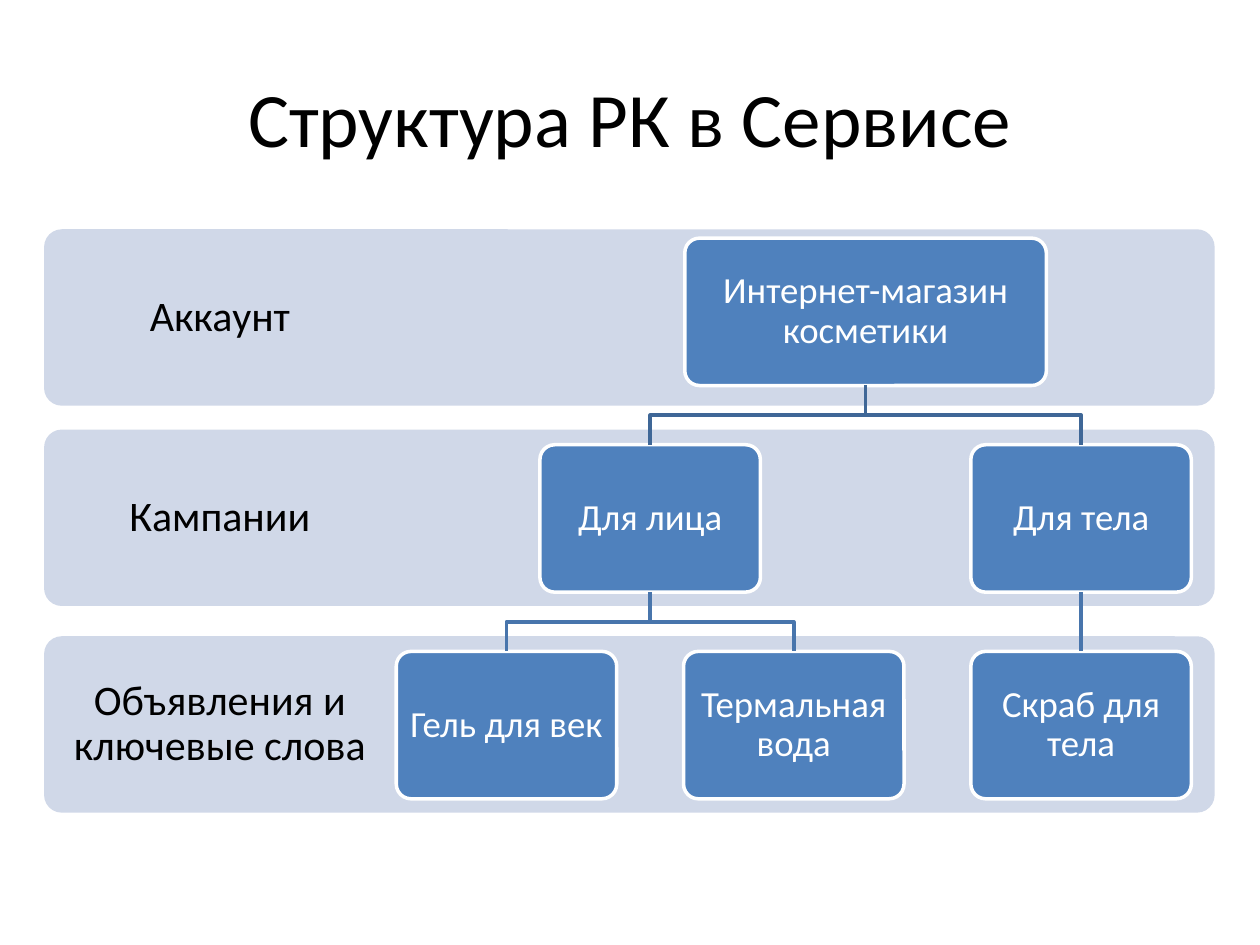
from lxml import etree
from pptx import Presentation
from pptx.dml.color import RGBColor
from pptx.enum import shapes, text
from pptx.oxml import ns
from pptx.util import Inches, Pt

TITLE = "Структура РК в Сервисе"
BANDS = [("Аккаунт", 1.82), ("Кампании", 3.41), ("Объявления и ключевые слова", 5.05)]
TREE = ("Интернет-магазин косметики", [
    ("Для лица", [("Гель для век", []), ("Термальная вода", [])]),
    ("Для тела", [("Скраб для тела", [])]),
])
COLORS = {"band": "D0D8E8", "node": "4F81BD", "white": "FFFFFF", "black": "000000"}
LINK_COLORS = ["3F6797", "4875AC"]
FONT = "Calibri"
BAND_LEFT, BAND_WIDTH, BAND_HEIGHT, LABEL_WIDTH = 0.35, 9.29, 1.4, 2.79
NODE_TOP, NODE_STEP, NODE_HEIGHT = 1.89, 1.64, 1.17
ROOT_WIDTH, NODE_WIDTH = 2.87, 1.75
LABEL_INSET, NODE_INSET = 0.19, 0.07
LEAF_CENTER, LEAF_STEP = 4.02, 2.28


def color(value):
    return RGBColor.from_string(value)


def write(box, words, size, ink, inset=None, spacing=None):
    frame = box.text_frame
    frame.text = words
    frame.word_wrap = True
    frame.vertical_anchor = text.MSO_ANCHOR.MIDDLE
    if inset is not None:
        frame.margin_left = frame.margin_right = Inches(inset)
        frame.margin_top = frame.margin_bottom = Inches(inset)
    para = frame.paragraphs[0]
    para.alignment = text.PP_ALIGN.CENTER
    if spacing:
        para.line_spacing = spacing
    font = para.runs[0].font
    font.name, font.size = FONT, Pt(size)
    font.color.rgb = color(COLORS[ink])


def add_panel(page, left, top, width, height, fill):
    panel = page.shapes.add_shape(shapes.MSO_SHAPE.ROUNDED_RECTANGLE,
                                  *map(Inches, (left, top, width, height)))
    panel.adjustments[0] = 0.1
    panel.shadow.inherit = False
    panel.fill.solid()
    panel.fill.fore_color.rgb = color(COLORS[fill])
    panel.line.fill.background()
    return panel


def add_band(page, words, top):
    add_panel(page, BAND_LEFT, top, BAND_WIDTH, BAND_HEIGHT, "band")
    label = page.shapes.add_textbox(
        *map(Inches, (BAND_LEFT, top, LABEL_WIDTH, BAND_HEIGHT)))
    write(label, words, 24, "black", LABEL_INSET, 0.9)


def add_link(page, parent, parent_x, child, child_x, level):
    start = NODE_TOP + level * NODE_STEP + NODE_HEIGHT
    end = NODE_TOP + (level + 1) * NODE_STEP
    middle = (start + end) / 2
    if abs(parent_x - child_x) < 0.01:
        link = page.shapes.add_connector(
            shapes.MSO_CONNECTOR.STRAIGHT,
            *map(Inches, (parent_x, start, child_x, end)))
        link.begin_connect(parent, 2)
        link.end_connect(child, 0)
        etree.SubElement(link._element.spPr, ns.qn("a:effectLst"))
    else:
        outline = page.shapes.build_freeform(Inches(parent_x), Inches(start))
        corners = [(parent_x, middle), (child_x, middle), (child_x, end)]
        outline.add_line_segments(
            [(Inches(x), Inches(y)) for x, y in corners], close=False)
        link = outline.convert_to_shape()
        link.fill.background()
        link.shadow.inherit = False
    link.line.color.rgb = color(LINK_COLORS[level])
    link.line.width = Pt(2)


def add_branch(page, node, leaf_centers, level=0):
    words, children = node
    branches = [add_branch(page, child, leaf_centers, level + 1) for child in children]
    centers = [center for _, center in branches]
    center = (centers[0] + centers[-1]) / 2 if centers else next(leaf_centers)
    width = NODE_WIDTH if level else ROOT_WIDTH
    box = add_panel(page, center - width / 2, NODE_TOP + level * NODE_STEP,
                    width, NODE_HEIGHT, "node")
    box.line.color.rgb = color(COLORS["white"])
    box.line.width = Pt(2)
    write(box, words, 21, "white", NODE_INSET, 0.9)
    for child, child_x in branches:
        add_link(page, box, center, child, child_x, level)
    return box, center


def main():
    """Build the advertising account structure slide."""
    deck = Presentation()
    deck.slide_width, deck.slide_height = Inches(10), Inches(7.5)
    page = deck.slides.add_slide(deck.slide_layouts[5])
    title = page.shapes.title
    title.left, title.top, title.width, title.height = map(Inches, (0.5, 0.3, 9, 1.25))
    write(title, TITLE, 44, "black")
    for words, top in BANDS:
        add_band(page, words, top)
    add_branch(page, TREE, (LEAF_CENTER + i * LEAF_STEP for i in range(3)))
    deck.save("out.pptx")


if __name__ == "__main__":
    main()
